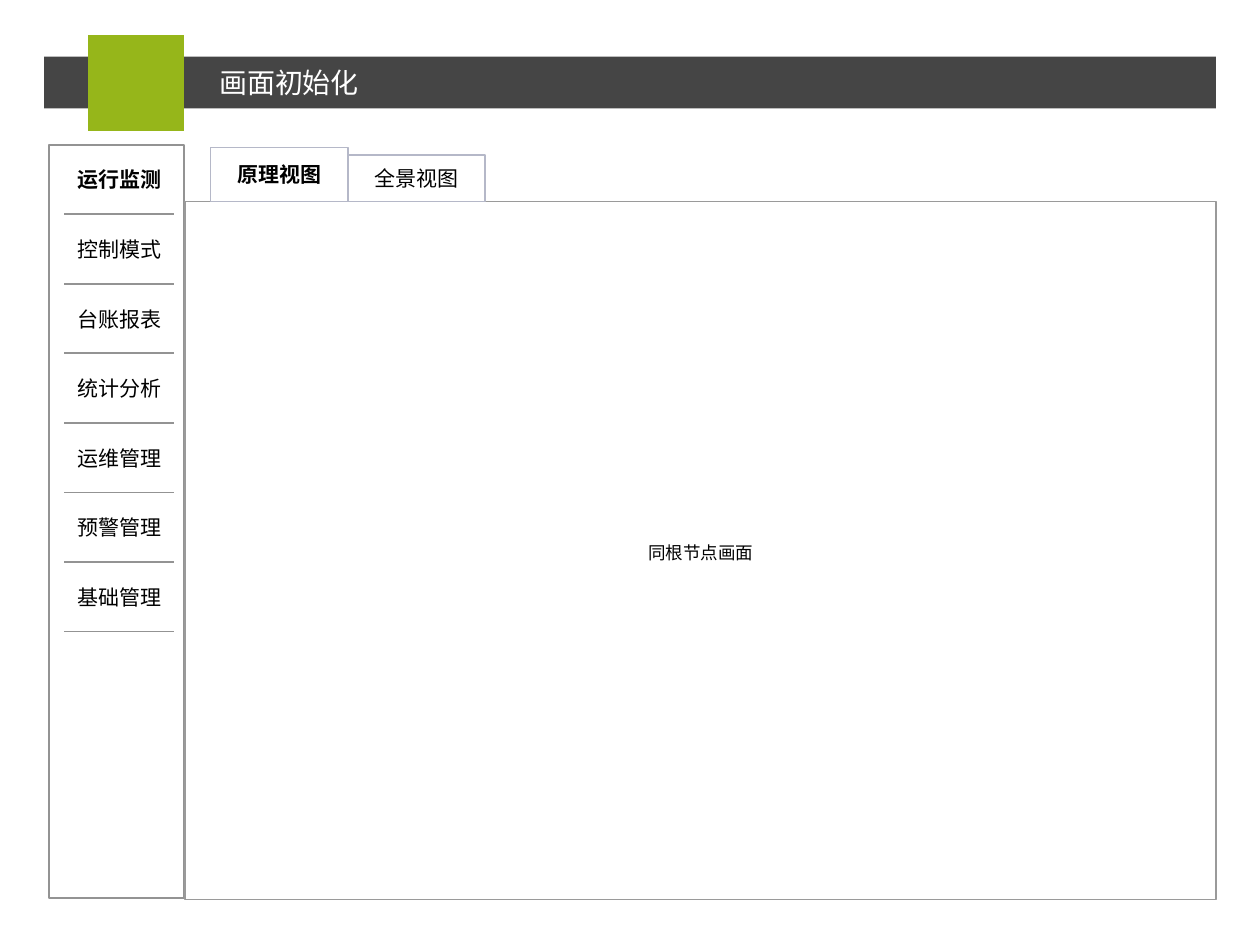
import pptx
import pptx.util
import pptx.dml.color
import pptx.enum.shapes
import pptx.enum.text
import lxml.etree
import pptx.oxml.ns

RGBColor = pptx.dml.color.RGBColor
Inches = pptx.util.Inches
ALIGN = pptx.enum.text.PP_ALIGN

BLACK = RGBColor(0x00, 0x00, 0x00)
WHITE = RGBColor(0xFF, 0xFF, 0xFF)
CHARCOAL = RGBColor(0x45, 0x45, 0x45)
GREEN = RGBColor(0x96, 0xB6, 0x1A)
MENU_GRAY = RGBColor(0x93, 0x93, 0x93)
PANEL_GRAY = RGBColor(0x9A, 0x9A, 0x9A)
TAB_GRAY = RGBColor(0xB5, 0xB8, 0xC8)
FONT = "Noto Sans CJK SC"

TITLE = "画面初始化"
MENU = ["运行监测", "控制模式", "台账报表", "统计分析", "运维管理", "预警管理", "基础管理"]
TABS = [("原理视图", 0.43), ("全景视图", 0.37)]
CONTENT = "同根节点画面"

MENU_LEFT, MENU_TOP, MENU_STEP = 0.51, 1.23, 0.552
ITEM_WIDTH, ITEM_HEIGHT, RULE_OFFSET = 0.88, 0.39, 0.47
PANEL_LEFT, PANEL_TOP, PANEL_WIDTH, PANEL_HEIGHT = 1.47, 1.6, 8.18, 5.54
TAB_LEFT, TAB_WIDTH = 1.67, 1.09


def write(shape, text, size, color=BLACK, bold=False, align=ALIGN.CENTER):
    frame = shape.text_frame
    frame_format = {
        "word_wrap": True,
        "auto_size": pptx.enum.text.MSO_AUTO_SIZE.NONE,
        "vertical_anchor": pptx.enum.text.MSO_ANCHOR.MIDDLE,
        "margin_top": 0,
        "margin_bottom": 0,
    }
    for name, value in frame_format.items():
        setattr(frame, name, value)
    paragraph = frame.paragraphs[0]
    paragraph.alignment = align
    run = paragraph.add_run()
    run.text = text
    run.font.color.rgb = color
    for name, value in {"name": FONT, "size": pptx.util.Pt(size), "bold": bold}.items():
        setattr(run.font, name, value)
    properties = run._r.get_or_add_rPr()
    east_asian = lxml.etree.SubElement(properties, pptx.oxml.ns.qn("a:ea"))
    east_asian.set("typeface", FONT)


def add_box(slide, left, top, width, height, fill=None, line=None):
    shape = slide.shapes.add_shape(
        pptx.enum.shapes.MSO_SHAPE.RECTANGLE,
        Inches(left), Inches(top), Inches(width), Inches(height))
    shape.shadow.inherit = False
    if fill is None:
        shape.fill.background()
    else:
        shape.fill.solid()
        shape.fill.fore_color.rgb = fill
    if line is None:
        shape.line.fill.background()
    else:
        shape.line.color.rgb = line
        shape.line.width = pptx.util.Pt(1)
    return shape


def add_rule(slide, left, right, top):
    rule = slide.shapes.add_connector(
        pptx.enum.shapes.MSO_CONNECTOR.STRAIGHT,
        Inches(left), Inches(top), Inches(right), Inches(top))
    rule.line.color.rgb = MENU_GRAY
    rule.line.width = pptx.util.Pt(1)
    lxml.etree.SubElement(rule._element.spPr, pptx.oxml.ns.qn("a:effectLst"))


def add_header(slide):
    add_box(slide, 0.35, 0.45, 9.3, 0.41, fill=CHARCOAL)
    add_box(slide, 0.7, 0.28, 0.76, 0.76, fill=GREEN)
    title = slide.shapes.title
    place = {"left": 1.64, "top": 0.51, "width": 6.88, "height": 0.29}
    for name, value in place.items():
        setattr(title, name, Inches(value))
    write(title, TITLE, 16, color=WHITE, align=ALIGN.LEFT)
    slide.shapes._spTree.append(title._element)


def add_menu(slide):
    add_box(slide, 0.39, 1.15, 1.07, 5.98, line=MENU_GRAY)
    for row, label in enumerate(MENU):
        top = MENU_TOP + row * MENU_STEP
        item = add_box(slide, MENU_LEFT, top, ITEM_WIDTH, ITEM_HEIGHT, fill=WHITE)
        write(item, label, 12, bold=row == 0)
        add_rule(slide, MENU_LEFT, MENU_LEFT + ITEM_WIDTH - 0.01, top + RULE_OFFSET)


def add_panel(slide):
    add_box(slide, PANEL_LEFT, PANEL_TOP, PANEL_WIDTH, PANEL_HEIGHT, line=PANEL_GRAY)
    for column, (label, height) in enumerate(TABS):
        tab = add_box(slide, TAB_LEFT + column * TAB_WIDTH, PANEL_TOP - height,
                      TAB_WIDTH, height, line=TAB_GRAY)
        write(tab, label, 12, bold=column == 0)
    content = add_box(slide, 3.05, 2.42, 5.02, 3.93, fill=WHITE)
    write(content, CONTENT, 10)


def main():
    presentation = pptx.Presentation()
    presentation.slide_width = Inches(10)
    presentation.slide_height = Inches(7.5)
    slide = presentation.slides.add_slide(presentation.slide_layouts[5])
    add_header(slide)
    add_menu(slide)
    add_panel(slide)
    presentation.save("out.pptx")


if __name__ == "__main__":
    main()
